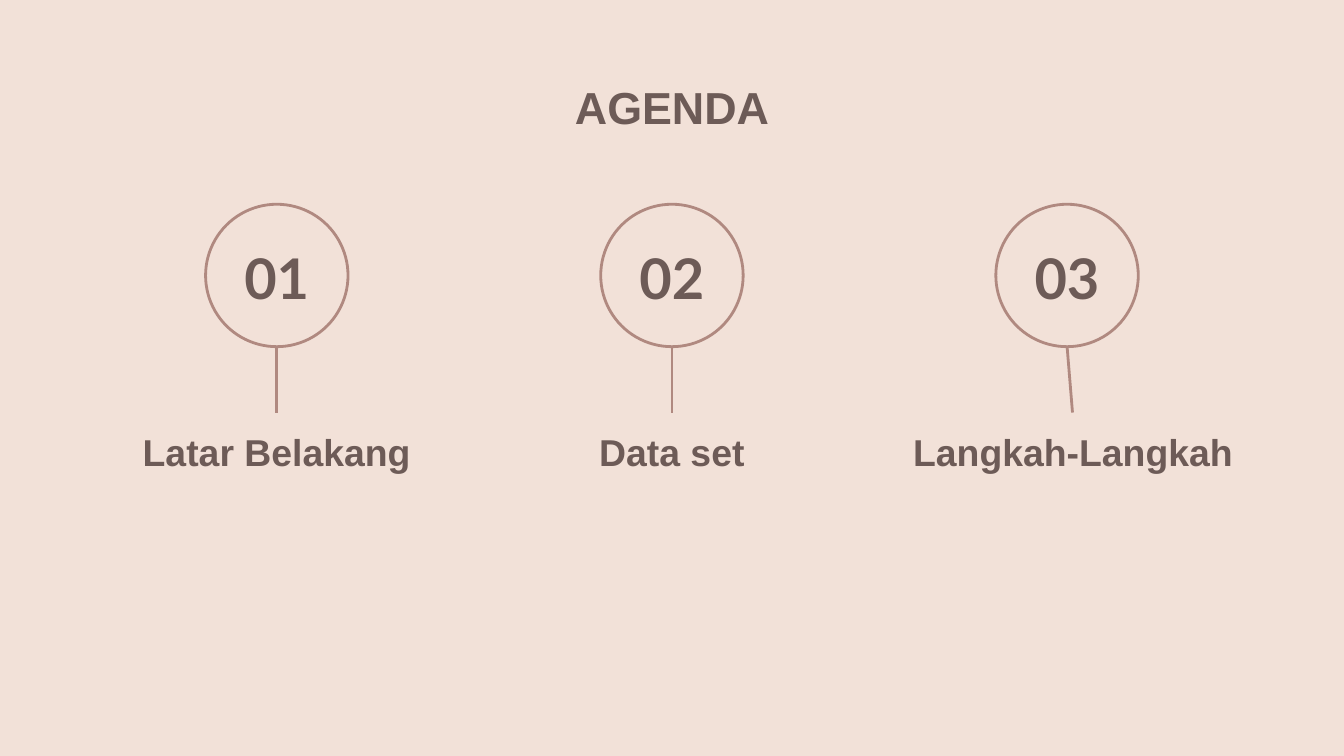
"""Build an agenda slide with three numbered steps."""
import pptx
import pptx.dml.color
import pptx.enum.shapes
import pptx.enum.text
import pptx.oxml.xmlchemy
import pptx.util

PX = 4572
THEME = {
    "back": pptx.dml.color.RGBColor.from_string("F2E1D8"),
    "text": pptx.dml.color.RGBColor.from_string("6D5B57"),
    "line": pptx.dml.color.RGBColor.from_string("B08980"),
    "title": {"name": "Arial", "size": pptx.util.Pt(24), "bold": True},
    "label": {"name": "Arial", "size": pptx.util.Pt(20), "bold": True},
    "count": {"name": "Lato", "size": pptx.util.Pt(30), "bold": True},
    "width": pptx.util.Pt(1.5),
}
ANCHOR = pptx.enum.text.MSO_ANCHOR


def put_text(text, box, style, anchor=ANCHOR.MIDDLE):
    frame = slide.shapes.add_textbox(*[n * PX for n in box]).text_frame
    pad = 20 * PX
    form = {"word_wrap": True, "vertical_anchor": anchor, "margin_left": pad,
            "margin_right": pad, "margin_top": pad, "margin_bottom": pad}
    for key, value in form.items():
        setattr(frame, key, value)
    para = frame.paragraphs[0]
    para.alignment = pptx.enum.text.PP_ALIGN.CENTER
    run = para.add_run()
    run.text = text
    for key, value in THEME[style].items():
        setattr(run.font, key, value)
    run.font.color.rgb = THEME["text"]


def set_line(shape):
    shape.line.color.rgb = THEME["line"]
    shape.line.width = THEME["width"]


deck = pptx.Presentation()
deck.slide_width, deck.slide_height = 2000 * PX, 1125 * PX
slide = deck.slides.add_slide(deck.slide_layouts[6])
slide.background.fill.solid()
slide.background.fill.fore_color.rgb = THEME["back"]

put_text("AGENDA", (157, 98, 1686, 126), "title", ANCHOR.TOP)

ring, top, wide = 212, 304, 512
base, foot = top + ring, 614
steps = [("Latar Belakang", 0, wide), ("Data set", 0, wide), ("Langkah-Langkah", 8, 530)]
for i, (label, lean, span) in enumerate(steps):
    mid = 412 + 588 * i
    left = mid - wide // 2
    put_text(label, (left, foot, span, 116), "label")

    disc = slide.shapes.add_shape(
        pptx.enum.shapes.MSO_SHAPE.OVAL,
        *[n * PX for n in (mid - ring // 2, top, ring, ring)])
    disc.shadow.inherit = False
    disc.fill.background()
    set_line(disc)

    stem = slide.shapes.add_connector(
        pptx.enum.shapes.MSO_CONNECTOR.STRAIGHT,
        *[n * PX for n in (mid, base, mid + lean, foot)])
    set_line(stem)
    spec = stem.element.spPr
    spec.append(pptx.oxml.xmlchemy.OxmlElement("a:effectLst"))

    put_text(f"{i + 1:02}", (left, 348, wide, 130), "count")

deck.save("out.pptx")
